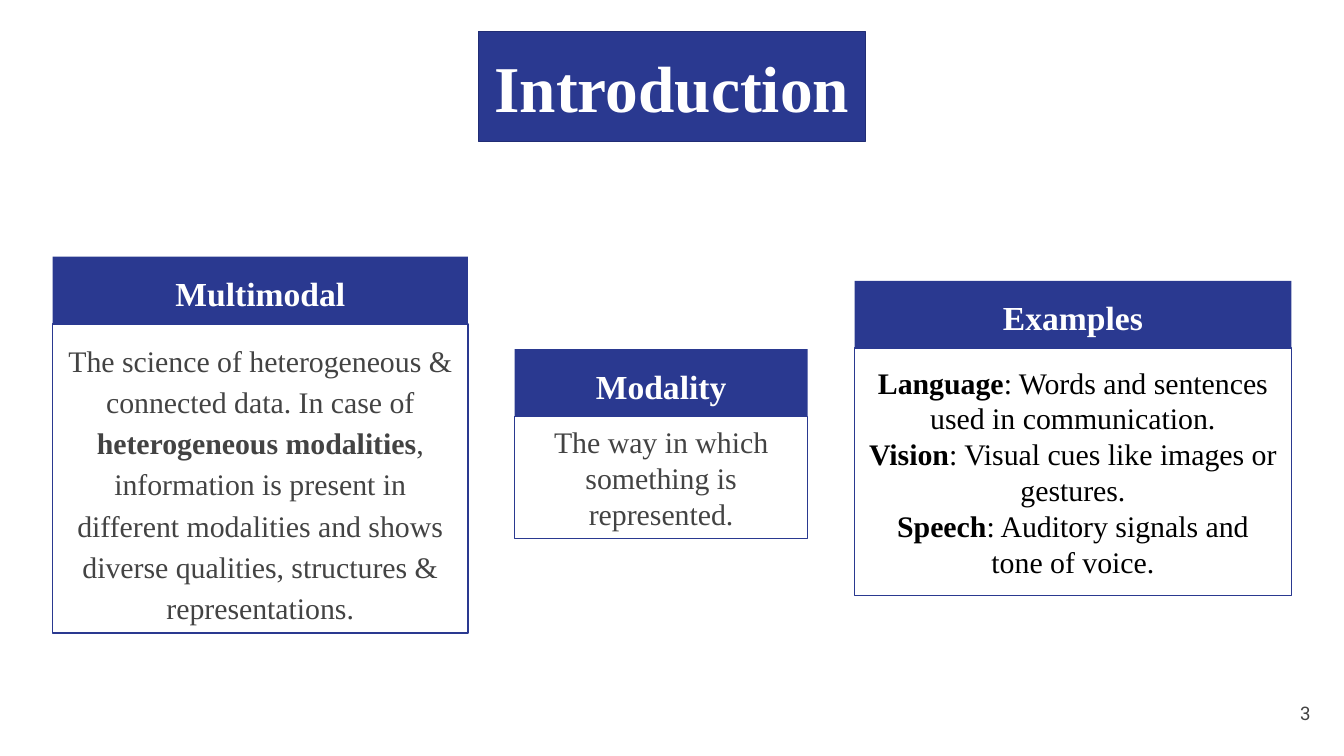
"""Build the introduction slide with three definition cards."""
from dataclasses import dataclass

from pptx import Presentation
from pptx.dml.color import RGBColor
from pptx.enum.shapes import MSO_SHAPE
from pptx.enum.text import MSO_ANCHOR, PP_ALIGN
from pptx.util import Pt

COLOURS = {
    "navy": "2A3990",
    "edge": "212D74",
    "white": "FFFFFF",
    "grey": "434343",
    "black": "000000",
}
SERIF = "Times New Roman"
HEADER_HEIGHT = 36
INSET = 7.2


@dataclass(frozen=True)
class Area:
    left: float
    top: float
    width: float
    height: float

    def lengths(self) -> list:
        return [Pt(value) for value in (self.left, self.top, self.width, self.height)]


@dataclass(frozen=True)
class Style:
    size: float
    colour: str
    bold: bool = False
    font: str = SERIF
    align: PP_ALIGN = PP_ALIGN.CENTER
    anchor: MSO_ANCHOR = MSO_ANCHOR.MIDDLE
    spacing: float = 1.0


@dataclass(frozen=True)
class Span:
    text: str
    bold: bool = False


@dataclass(frozen=True)
class Card:
    heading: str
    area: Area
    paragraphs: list[list[Span]]
    style: Style


TITLE = Style(35, "white", bold=True)
HEADING = Style(18, "white", bold=True, spacing=1.15)
NUMBER = Style(10, "grey", font="Roboto", align=PP_ALIGN.RIGHT)

CARDS = [
    Card("Multimodal", Area(28.2, 137.5, 222.5, 201.6), [[
        Span("The science of heterogeneous & connected data. In case of "),
        Span("heterogeneous modalities", True),
        Span(", information is present in different modalities and shows "
             "diverse qualities, structures & representations."),
    ]], Style(16, "grey", anchor=MSO_ANCHOR.TOP, spacing=1.15)),
    Card("Modality", Area(275.7, 187, 157, 101.5), [
        [Span("The way in which something is represented.")],
    ], Style(16, "grey")),
    Card("Examples", Area(457.8, 150.5, 234, 168.5), [
        [Span("Language", True), Span(": Words and sentences used in communication.")],
        [Span("Vision", True), Span(": Visual cues like images or gestures.")],
        [Span("Speech", True), Span(": Auditory signals and tone of voice.")],
    ], Style(16, "black")),
]


def set_values(target, values: dict) -> None:
    for name, value in values.items():
        setattr(target, name, value)


def rgb(name: str) -> RGBColor:
    return RGBColor.from_string(COLOURS[name])


def write(box, paragraphs: list[list[Span]], style: Style) -> None:
    frame = box.text_frame
    margins = {f"margin_{side}": Pt(INSET) for side in ("left", "top", "right", "bottom")}
    set_values(frame, {"word_wrap": True, "vertical_anchor": style.anchor, **margins})
    for index, spans in enumerate(paragraphs):
        para = frame.add_paragraph() if index else frame.paragraphs[0]
        set_values(para, {"alignment": style.align, "line_spacing": style.spacing})
        for span in spans:
            run = para.add_run()
            run.text = span.text
            set_values(run.font, {"name": style.font, "size": Pt(style.size),
                                  "bold": style.bold or span.bold})
            run.font.color.rgb = rgb(style.colour)


def draw_box(page, area: Area, fill: str | None, line: str | None):
    box = page.shapes.add_shape(MSO_SHAPE.RECTANGLE, *area.lengths())
    box.shadow.inherit = False
    if fill:
        box.fill.solid()
        box.fill.fore_color.rgb = rgb(fill)
    else:
        box.fill.background()
    if line:
        box.line.color.rgb = rgb(line)
        box.line.width = Pt(0.75)
    else:
        box.line.fill.background()
    return box


def draw_card(page, card: Card) -> None:
    area = card.area
    header = Area(area.left, area.top, area.width, HEADER_HEIGHT)
    body = Area(area.left, area.top + HEADER_HEIGHT, area.width, area.height - HEADER_HEIGHT)
    write(draw_box(page, header, "navy", None), [[Span(card.heading)]], HEADING)
    write(draw_box(page, body, None, "navy"), card.paragraphs, card.style)


def main() -> None:
    deck = Presentation()
    set_values(deck, {"slide_width": Pt(720), "slide_height": Pt(405)})
    page = deck.slides.add_slide(deck.slide_layouts[6])
    title = draw_box(page, Area(256.4, 16.8, 207.2, 59), "navy", "edge")
    write(title, [[Span("Introduction")]], TITLE)
    for card in CARDS:
        draw_card(page, card)
    number = page.shapes.add_textbox(*Area(666, 366.7, 43.2, 31).lengths())
    write(number, [[Span("3")]], NUMBER)
    deck.save("out.pptx")


if __name__ == "__main__":
    main()
